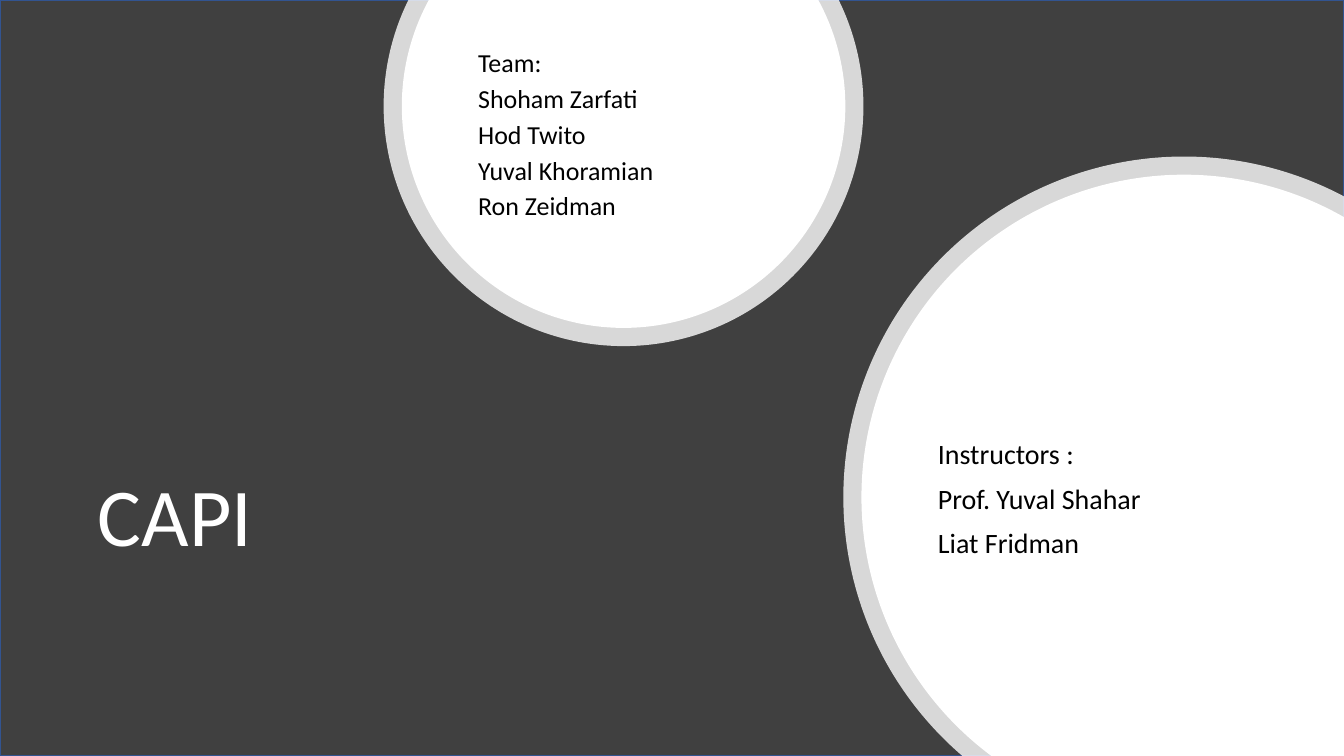
import itertools
import math
import lxml.etree
import pptx
import pptx.dml.color
import pptx.enum.shapes
import pptx.enum.text
import pptx.oxml.ns
import pptx.util

WIDTH, HEIGHT = 10, 10 * 9 / 16
FONT = "Calibri"
DARK, EDGE, WHITE, BLACK = "404040", "325491", "FFFFFF", "000000"
RING = 0.135
RING_OPACITY = 80

TEAM_CIRCLE = {"center": (4.64, 0.79), "radius": 1.65}
INSTRUCTOR_CIRCLE = {"center": (8.81, 3.7), "radius": 2.4}
TEXTS = [
    {"lines": ["CAPI"], "box": (0.63, 2.87, 4.97, 1.99),
     "size": 44, "color": WHITE, "spacing": 0.9, "before": 0},
    {"lines": ["Team:", "Shoham Zarfati", "Hod Twito", "Yuval Khoramian", "Ron Zeidman"],
     "box": (3.46, 0.29, 2.36, 1.47),
     "size": 13.9, "color": BLACK, "spacing": 0.7, "before": 7.5},
    {"lines": ["Instructors :", "Prof. Yuval Shahar", "Liat Fridman"],
     "box": (6.88, 2.58, 2.85, 2.28),
     "size": 15, "color": BLACK, "spacing": 0.9, "before": 7.5},
]


def rgb(color):
    return pptx.dml.color.RGBColor.from_string(color)


def paint(shape, color, opacity=100):
    shape.shadow.inherit = False
    shape.fill.solid()
    shape.fill.fore_color.rgb = rgb(color)
    shape.line.fill.background()
    if opacity < 100:
        tone = shape.fill._xPr.find(".//" + pptx.oxml.ns.qn("a:srgbClr"))
        alpha = lxml.etree.SubElement(tone, pptx.oxml.ns.qn("a:alpha"))
        alpha.set("val", str(opacity * 1000))


def top_cut(center, radius):
    angle = math.degrees(math.asin(center[1] / radius))
    return -angle, 180 + angle, []


def corner_cut(center, radius):
    bottom = math.degrees(math.asin((HEIGHT - center[1]) / radius))
    right = math.degrees(math.acos((WIDTH - center[0]) / radius))
    return 180 - bottom, 360 - right, [(WIDTH, HEIGHT)]


def add_cut_circle(slide, cut, center, radius, opacity=100):
    start, end, corners = cut(center, radius)
    stops = [start, *(turn for turn in range(0, 360, 90) if start < turn < end), end]
    rim = [(center[0] + radius * math.cos(math.radians(stop)),
            center[1] + radius * math.sin(math.radians(stop))) for stop in stops]
    points = [tuple(map(pptx.util.Inches, point)) for point in rim + corners]
    outline = slide.shapes.build_freeform(*points[0])
    outline.add_line_segments(points[1:], close=True)
    shape = outline.convert_to_shape()

    sides = list(shape._element.iter(pptx.oxml.ns.qn("a:lnTo")))
    for side, (first, last) in zip(sides, itertools.pairwise(stops)):
        arc = lxml.etree.Element(pptx.oxml.ns.qn("a:arcTo"))
        for key, value in {"wR": pptx.util.Inches(radius), "hR": pptx.util.Inches(radius),
                           "stAng": round(first % 360 * 60000),
                           "swAng": round((last - first) * 60000)}.items():
            arc.set(key, str(int(value)))
        side.getparent().replace(side, arc)
    paint(shape, WHITE, opacity)


def add_text(slide, lines, box, size, color, spacing, before):
    frame = slide.shapes.add_textbox(*map(pptx.util.Inches, box)).text_frame
    frame.word_wrap = True
    frame.vertical_anchor = pptx.enum.text.MSO_ANCHOR.MIDDLE
    for index, line in enumerate(lines):
        paragraph = frame.add_paragraph() if index else frame.paragraphs[0]
        paragraph.line_spacing = spacing
        paragraph.space_before = pptx.util.Pt(before)
        run = paragraph.add_run()
        run.text = line
        run.font.name = FONT
        run.font.size = pptx.util.Pt(size)
        run.font.color.rgb = rgb(color)


def main():
    deck = pptx.Presentation()
    deck.slide_width = pptx.util.Inches(WIDTH)
    deck.slide_height = pptx.util.Inches(HEIGHT)
    slide = deck.slides.add_slide(deck.slide_layouts[6])

    backdrop = slide.shapes.add_shape(
        pptx.enum.shapes.MSO_SHAPE.RECTANGLE, 0, 0, deck.slide_width, deck.slide_height)
    paint(backdrop, DARK)
    backdrop.line.color.rgb = rgb(EDGE)
    backdrop.line.width = pptx.util.Pt(1)

    for circle, cut in ((TEAM_CIRCLE, top_cut), (INSTRUCTOR_CIRCLE, corner_cut)):
        center, radius = circle["center"], circle["radius"]
        add_cut_circle(slide, cut, center, radius + RING, RING_OPACITY)
        add_cut_circle(slide, cut, center, radius)
    for text in TEXTS:
        add_text(slide, **text)

    deck.save("out.pptx")


if __name__ == "__main__":
    main()
